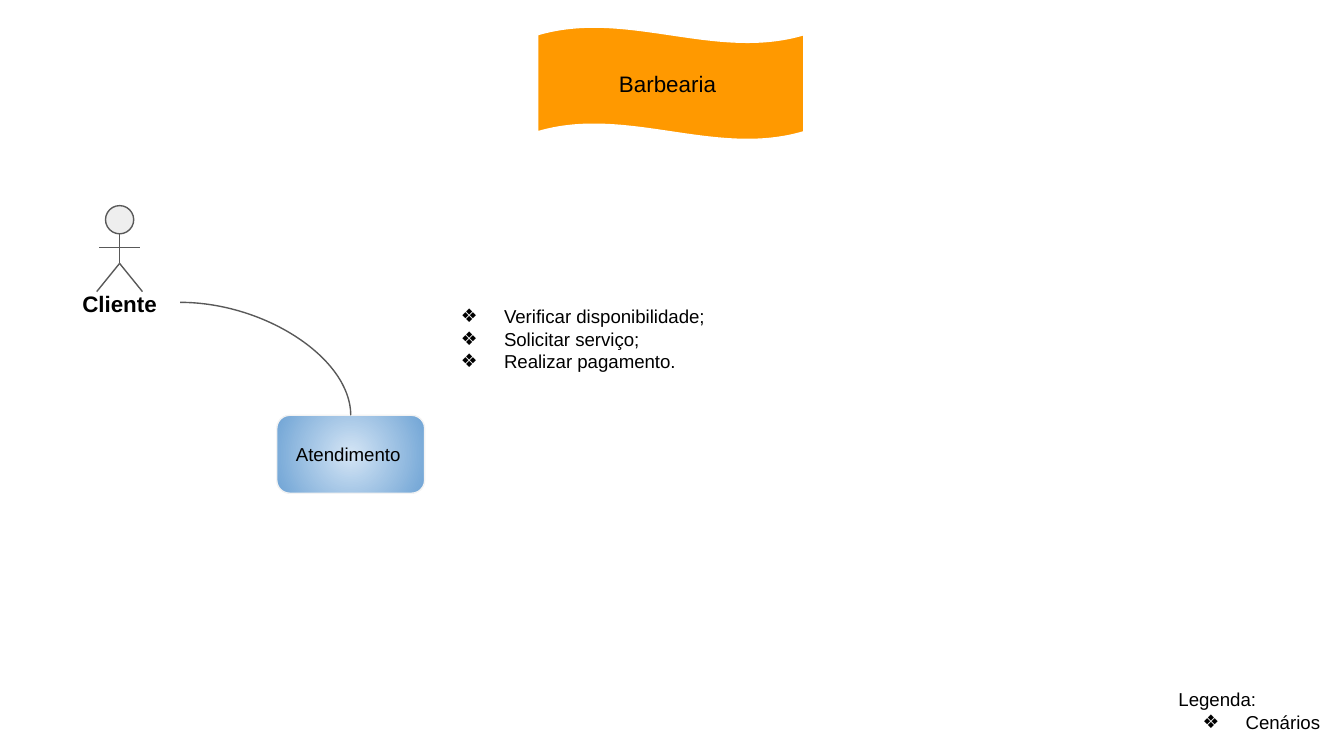
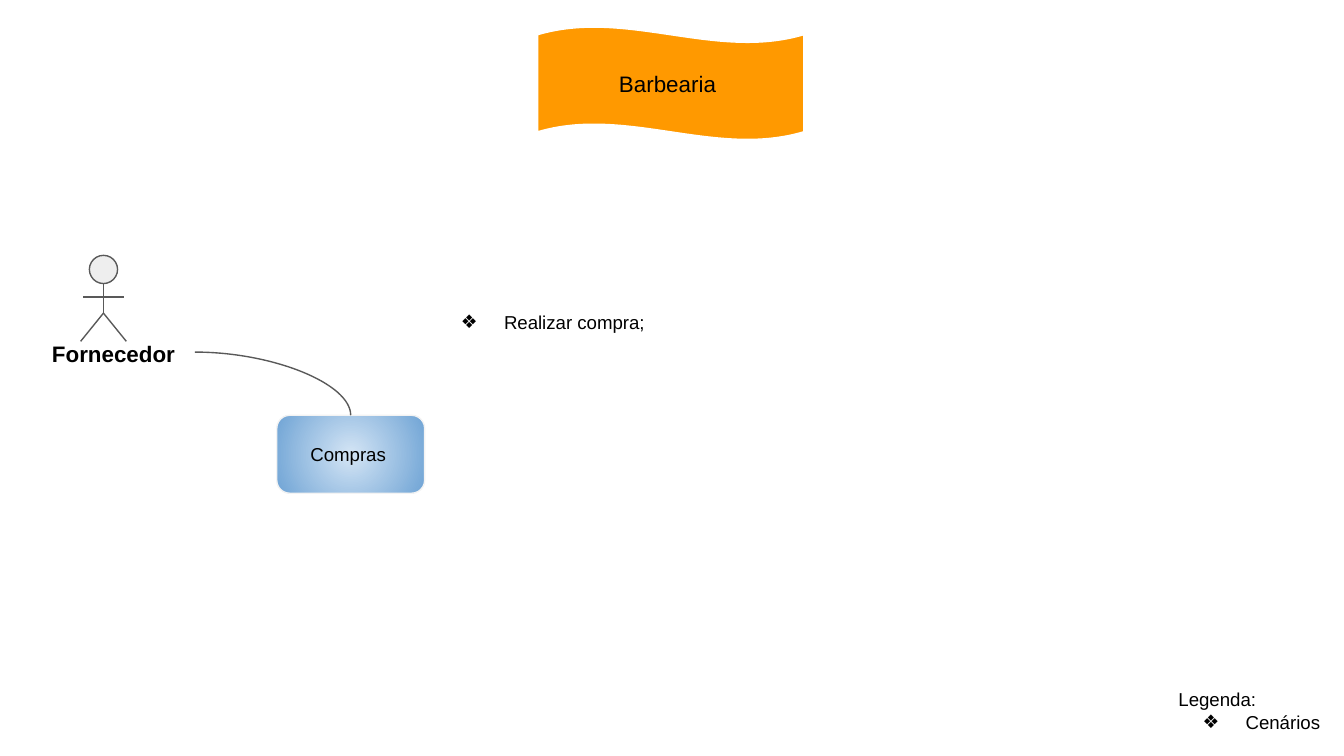
from dataclasses import dataclass
from lxml.etree import SubElement
from pptx import Presentation
from pptx.dml.color import RGBColor
from pptx.enum.shapes import MSO_CONNECTOR, MSO_SHAPE
from pptx.enum.text import MSO_ANCHOR, MSO_AUTO_SIZE, PP_ALIGN
from pptx.oxml.ns import qn
from pptx.util import Inches, Pt


@dataclass(frozen=True)
class Theme:
    font: str = "Arial"
    heading: Pt = Pt(12)
    body: Pt = Pt(10)
    stroke: Pt = Pt(0.75)
    text: RGBColor = RGBColor.from_string("000000")
    white: RGBColor = RGBColor.from_string("FFFFFF")
    banner: RGBColor = RGBColor.from_string("FF9900")
    head: RGBColor = RGBColor.from_string("EEEEEE")
    ink: RGBColor = RGBColor.from_string("595959")
    box_line: RGBColor = RGBColor.from_string("F3F3F3")
    box_inner: RGBColor = RGBColor.from_string("D4E5F5")
    box_outer: RGBColor = RGBColor.from_string("70A4D5")


theme = Theme()


def write(sp, lines, size, align=PP_ALIGN.LEFT, anchor=MSO_ANCHOR.TOP, bold=False, bullets_from=None):
    tf = sp.text_frame
    tf.text = "\n".join(lines)
    tf.word_wrap = True
    tf.auto_size = MSO_AUTO_SIZE.NONE
    tf.vertical_anchor = anchor
    tf.margin_left = tf.margin_right = tf.margin_top = tf.margin_bottom = Inches(0.1)
    for i, p in enumerate(tf.paragraphs):
        p.alignment = align
        p.space_before = p.space_after = Pt(0)
        for r in p.runs:
            r.font.name = theme.font
            r.font.size = size
            r.font.bold = bold
            r.font.color.rgb = theme.text
        if bullets_from is not None and i >= bullets_from:
            pPr = p._p.get_or_add_pPr()
            pPr.set("marL", str(Inches(0.5)))
            pPr.set("indent", str(Inches(-0.32)))
            color = SubElement(pPr, qn("a:buClr"))
            SubElement(color, qn("a:srgbClr"), val=str(theme.text))
            SubElement(pPr, qn("a:buFont"), typeface=theme.font)
            SubElement(pPr, qn("a:buChar"), char="❖")


def style_line(cxn):
    cxn.line.color.rgb = theme.ink
    cxn.line.width = theme.stroke
    SubElement(cxn._element.spPr, qn("a:effectLst"))


scenes = [
    dict(actor="Cliente", center=0.89, top=1.53, label=(0.44, 0.9), case="Atendimento ",
         steps=["Verificar disponibilidade;", "Solicitar serviço;", "Realizar pagamento."],
         steps_top=2.17, steps_height=0.58, steps_inset=0.1),
    dict(actor="Fornecedor", center=0.77, top=1.9, label=(0.24, 1.21), case="Compras ",
         steps=["Realizar compra;"],
         steps_top=2.04, steps_height=0.91, steps_inset=0.27),
]
limbs = [
    ((0, 0.21), (0, 0.43)),
    ((-0.15, 0.31), (0.15, 0.31)),
    ((0, 0.43), (-0.17, 0.64)),
    ((0.17, 0.64), (0, 0.43)),
]
banner_box = [Inches(v) for v in (4, 0.2, 1.98, 0.84)]

prs = Presentation()
prs.slide_width = Inches(10)
prs.slide_height = Inches(10) * 9 // 16

for scene in scenes:
    s = prs.slides.add_slide(prs.slide_layouts[1])
    s.background.fill.solid()
    s.background.fill.fore_color.rgb = theme.white

    banner = s.shapes.add_shape(MSO_SHAPE.WAVE, *banner_box)
    banner.shadow.inherit = False
    banner.adjustments[0] = 0.07
    banner.adjustments[1] = 0
    banner.fill.solid()
    banner.fill.fore_color.rgb = theme.banner
    banner.line.color.rgb = theme.white
    banner.line.width = theme.stroke

    title = s.shapes.title
    title.left, title.top, title.width, title.height = banner_box
    write(title, ["Barbearia "], theme.heading, PP_ALIGN.CENTER, MSO_ANCHOR.MIDDLE)
    banner._element.addnext(title._element)

    case = s.shapes.add_shape(MSO_SHAPE.ROUNDED_RECTANGLE,
                              Inches(2.06), Inches(3.09), Inches(1.1), Inches(0.58))
    case.shadow.inherit = False
    case.fill.gradient()
    for stop, color in zip(case.fill.gradient_stops, (theme.box_inner, theme.box_outer)):
        stop.color.rgb = color
    grad = case._element.spPr.find(qn("a:gradFill"))
    grad.remove(grad.find(qn("a:lin")))
    radial = SubElement(grad, qn("a:path"), path="circle")
    SubElement(radial, qn("a:fillToRect"), l="50000", t="50000", r="50000", b="50000")
    case.line.color.rgb = theme.box_line
    case.line.width = theme.stroke
    write(case, [scene["case"]], theme.body, PP_ALIGN.CENTER, MSO_ANCHOR.MIDDLE)

    x, y = scene["center"], scene["top"]
    actor = s.shapes.add_group_shape()
    head = actor.shapes.add_shape(MSO_SHAPE.FLOWCHART_CONNECTOR,
                                  Inches(x - 0.105), Inches(y), Inches(0.21), Inches(0.21))
    head.shadow.inherit = False
    head.fill.solid()
    head.fill.fore_color.rgb = theme.head
    head.line.color.rgb = theme.ink
    head.line.width = theme.stroke
    for (x1, y1), (x2, y2) in limbs:
        limb = actor.shapes.add_connector(MSO_CONNECTOR.STRAIGHT, Inches(x + x1), Inches(y + y1),
                                          Inches(x + x2), Inches(y + y2))
        style_line(limb)
    left, width = scene["label"]
    label = actor.shapes.add_textbox(Inches(left), Inches(y + 0.53), Inches(width), Inches(0.38))
    write(label, [scene["actor"]], theme.heading, PP_ALIGN.CENTER, bold=True)

    link = s.shapes.add_connector(MSO_CONNECTOR.CURVE, Inches(left + width), Inches(y + 0.72),
                                  Inches(2.61), Inches(3.09))
    link.begin_connect(label, 3)
    link.end_connect(case, 0)
    link._element.spPr.find(qn("a:prstGeom")).set("prst", "curvedConnector2")
    style_line(link)

    steps = s.placeholders[1]
    steps.left, steps.top = Inches(3.15), Inches(scene["steps_top"])
    steps.width, steps.height = Inches(3.32), Inches(scene["steps_height"])
    write(steps, scene["steps"], theme.body, bullets_from=0)
    steps.text_frame.margin_top = Inches(scene["steps_inset"])

    legend = s.shapes.add_textbox(Inches(8.67), Inches(5.02), Inches(1.27), Inches(0.52))
    write(legend, ["Legenda:", "Cenários"], theme.body, bullets_from=1)

prs.save("out.pptx")
